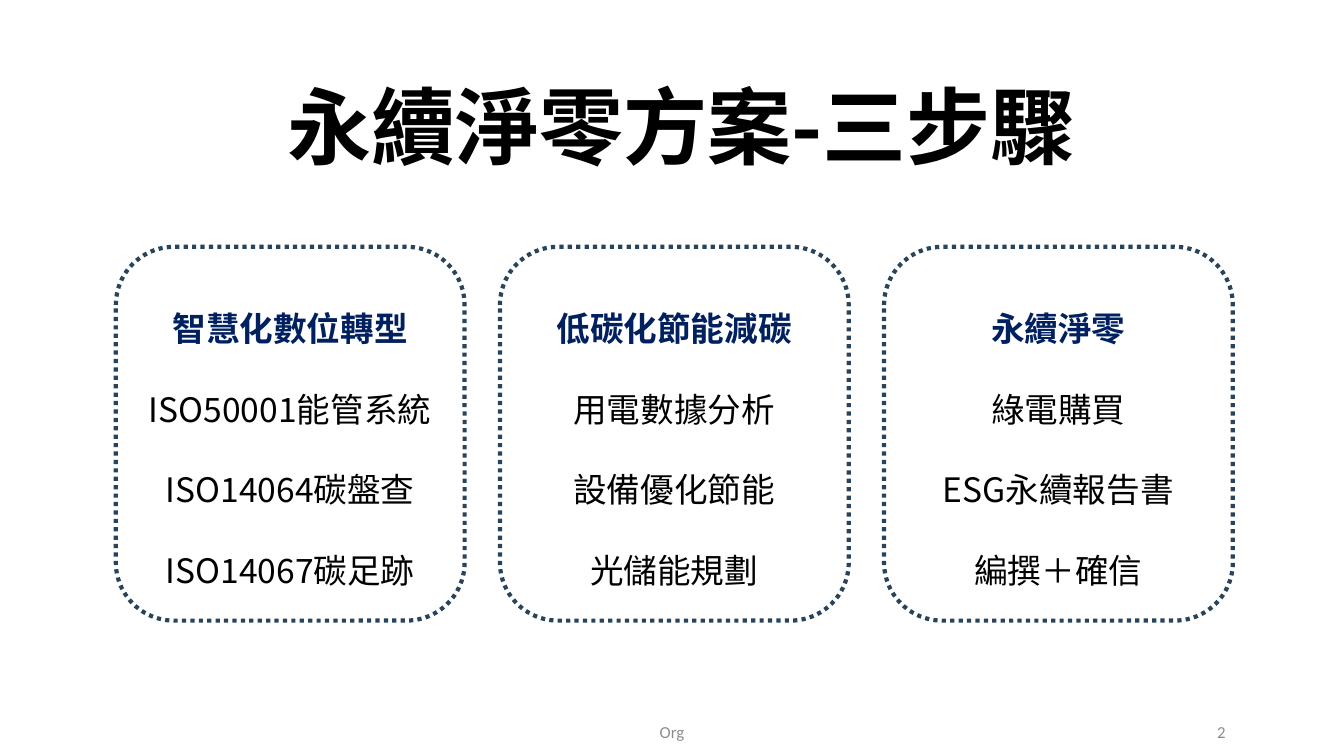
from lxml import etree
from pptx import Presentation
from pptx import util as u
from pptx.dml.color import RGBColor
from pptx.enum import dml, shapes, text
from pptx.oxml.ns import qn

Cm = u.Cm
CENTER = text.PP_ALIGN.CENTER


def color(hexa):
    return RGBColor.from_string(hexa)


class Deck:
    sans = "Noto Sans CJK TC"
    small = "Calibri"
    black, navy, gray, edge = "000000", "002060", "8C8C8C", "28445D"

    def __init__(self, slide):
        self.slide = slide

    def run(self, para, words, size, hue, font, bold=False):
        run = para.add_run()
        run.text = words
        run.font.size = u.Pt(size)
        run.font.bold = bold
        run.font.name = font
        run.font.color.rgb = color(hue)
        # East Asian glyphs take the same face
        east = etree.Element(qn("a:ea"), typeface=font)
        run.font._element.find(qn("a:latin")).addnext(east)

    def label(self, home, box, lines, size, font, align=CENTER,
              space=None, middle=False):
        frame = home.add_textbox(*map(Cm, box)).text_frame
        frame.word_wrap = True
        if middle:
            frame.vertical_anchor = text.MSO_ANCHOR.MIDDLE
        else:
            frame.auto_size = text.MSO_AUTO_SIZE.SHAPE_TO_FIT_TEXT
        for i, (words, hue, bold) in enumerate(lines):
            para = frame.add_paragraph() if i else frame.paragraphs[0]
            para.alignment = align
            para.line_spacing = space
            self.run(para, words, size, hue, font, bold)

    def title(self, words):
        self.label(self.slide.shapes, (3.3, 1.75, 27.71, 2.82),
                   [(words, self.black, True)], 60, self.sans)

    def card(self, left, top, head, items):
        group = self.slide.shapes.add_group_shape().shapes
        frame = group.add_shape(shapes.MSO_SHAPE.ROUNDED_RECTANGLE,
                                Cm(left), Cm(top), Cm(8.79), Cm(9.42))
        frame.shadow.inherit = False
        frame.fill.background()
        frame.line.color.rgb = color(self.edge)
        frame.line.width = u.Pt(3)
        frame.line.dash_style = dml.MSO_LINE.ROUND_DOT
        lines = [(head, self.navy, True)]
        lines += [(item, self.black, False) for item in items]
        self.label(group, (left + 0.4, top + 0.4, 7.98, 8.15),
                   lines, 24, self.sans, space=2.0)

    def foot(self, left, width, words, align):
        self.label(self.slide.shapes, (left, 17.93, width, 1.02),
                   [(words, self.gray, False)], 12, self.small,
                   align, middle=True)


def main():
    show = Presentation()
    show.slide_width, show.slide_height = Cm(33.87), Cm(19.05)
    deck = Deck(show.slides.add_slide(show.slide_layouts[6]))

    # Heading
    deck.title("永續淨零方案-三步驟")

    # Three steps, evenly spaced
    steps = [
        ("智慧化數位轉型",
         ["ISO50001能管系統", "ISO14064碳盤查", "ISO14067碳足跡"]),
        ("低碳化節能減碳", ["用電數據分析", "設備優化節能", "光儲能規劃"]),
        ("永續淨零", ["綠電購買", "ESG永續報告書", "編撰＋確信"]),
    ]
    for i, (head, items) in enumerate(steps):
        deck.card(2.92 + i * 9.68, 6.22, head, items)

    # Footer and slide number
    deck.foot(10.24, 13.39, "Org", CENTER)
    deck.foot(27.51, 3.63, "2", text.PP_ALIGN.RIGHT)

    show.save("out.pptx")


if __name__ == "__main__":
    main()
